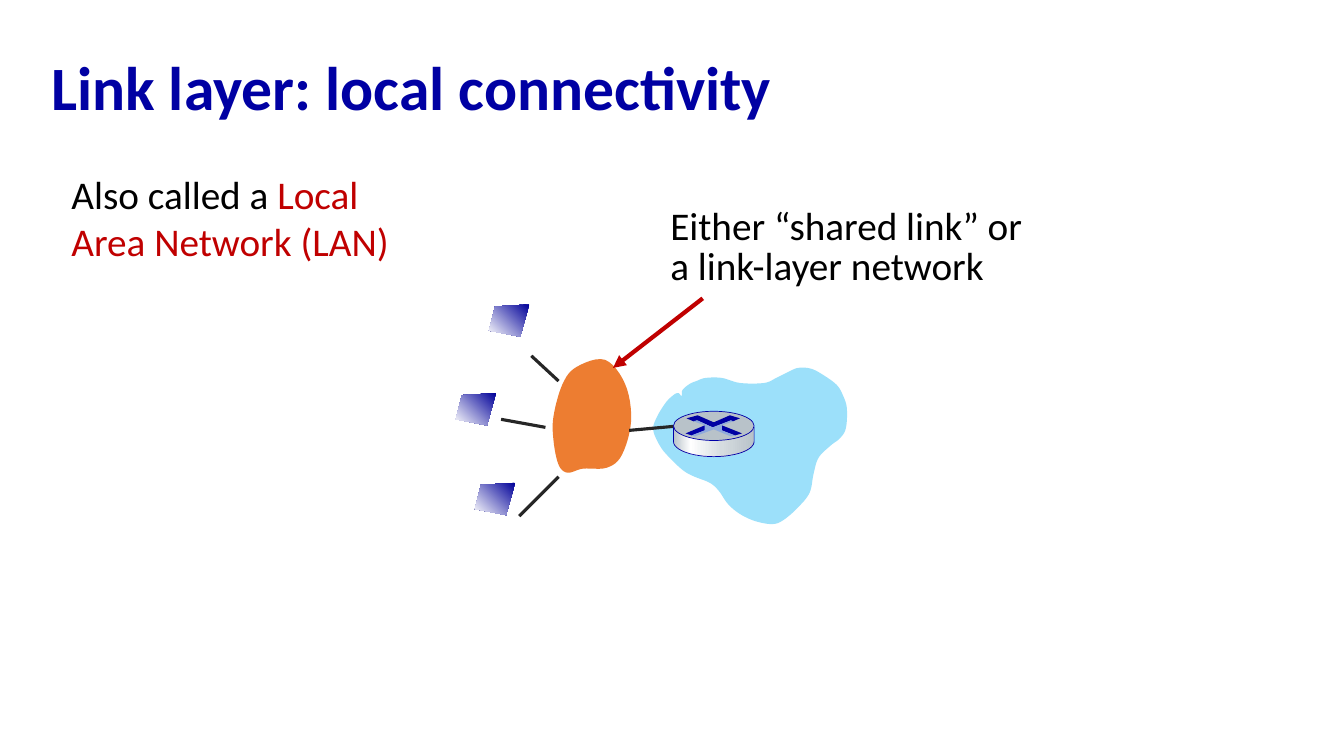
from math import cos, pi, sin

from lxml.etree import SubElement
from pptx import Presentation
from pptx.dml.color import RGBColor
from pptx.enum.shapes import MSO_CONNECTOR, MSO_SHAPE
from pptx.enum.text import MSO_ANCHOR, PP_ALIGN
from pptx.oxml.ns import qn
from pptx.util import Inches, Pt

COLORS = {
    "title": "0000A3", "text": "000000", "accent": "C00000", "link": "262626",
    "cloud": "9CE0FA", "lan": "ED7D31", "screen": "000099", "white": "FFFFFF",
    "edge": "0000A8", "steel": "B8C2C9", "silver": "D6DCE0", "cross": "8FAADC",
}

CLOUD = [
    (6.76, 3.93), (6.77, 3.87), (6.84, 3.81), (6.91, 3.78), (7, 3.75), (7.16, 3.75),
    (7.34, 3.8), (7.58, 3.8), (7.7, 3.75), (7.82, 3.69), (7.92, 3.65), (8.05, 3.66),
    (8.18, 3.73), (8.3, 3.82), (8.36, 3.92), (8.4, 4.05), (8.39, 4.25), (8.33, 4.35),
    (8.24, 4.42), (8.12, 4.54), (8.07, 4.7), (8.03, 4.89), (7.91, 5.04), (7.77, 5.16),
    (7.66, 5.2), (7.49, 5.17), (7.34, 5.1), (7.22, 5), (7.13, 4.87), (7.04, 4.79),
    (6.89, 4.73), (6.78, 4.67), (6.65, 4.55), (6.55, 4.43), (6.48, 4.27), (6.51, 4.15),
    (6.6, 4), (6.68, 3.92), (6.73, 3.9),
]
LAN = [
    (5.72, 3.64), (5.58, 3.81), (5.49, 4.13), (5.49, 4.37), (5.54, 4.61), (5.63, 4.69),
    (5.78, 4.65), (6.02, 4.64), (6.17, 4.51), (6.26, 4.17), (6.2, 3.81), (6, 3.57),
]
SCREEN = [(0.4, 0), (0.06, 0.02), (0, 0.26), (0.31, 0.32)]
SCREEN_CORNERS = [(4.85, 3.02), (4.52, 3.9), (4.71, 4.79)]
LINKS = [
    ((5.27, 3.53), (5.54, 3.78)), ((4.97, 4.16), (5.41, 4.24)),
    ((5.15, 5.12), (5.54, 4.73)), ((6.24, 4.27), (6.68, 4.23)),
]
ROUTER_MARKS = [
    ("title", [(7.24, 4.12), (7.34, 4.15), (7.27, 4.18), (7.25, 4.17), (7.07, 4.24),
               (6.92, 4.17), (6.88, 4.18), (6.81, 4.15), (6.92, 4.12), (7.08, 4.19)]),
    ("title", [(7.16, 4.22), (7.36, 4.3), (7.29, 4.32), (7.16, 4.27)]),
    ("edge", [(6.99, 4.22), (6.99, 4.27), (6.86, 4.32), (6.8, 4.3)]),
    ("cross", [(6.88, 4.18), (6.91, 4.17), (7.07, 4.24), (7.25, 4.17), (7.27, 4.18),
               (7.16, 4.22), (7.16, 4.27), (7.29, 4.32), (7.25, 4.33), (7.08, 4.26),
               (6.89, 4.33), (6.86, 4.32), (6.99, 4.27), (6.99, 4.22)]),
]


def rgb(name):
    """Return the named colour."""
    return RGBColor.from_string(COLORS[name])


def smooth(points, steps=6):
    """Return a closed Catmull-Rom curve through the points."""
    curve = []
    for i in range(len(points)):
        a, b, c, d = (points[(i + k) % len(points)] for k in (-1, 0, 1, 2))
        for t in (n / steps for n in range(steps)):
            curve.append(tuple(
                0.5 * (2 * q + (r - p) * t + (2 * p - 5 * q + 4 * r - s) * t ** 2
                       + (3 * q - p - 3 * r + s) * t ** 3)
                for p, q, r, s in zip(a, b, c, d)))
    return curve


def paint(s, fill=None, edge=None):
    """Give a shape a solid fill and an optional thin outline."""
    s.shadow.inherit = False
    if fill:
        s.fill.solid()
        s.fill.fore_color.rgb = rgb(fill)
    if edge:
        s.line.color.rgb = rgb(edge)
        s.line.width = Pt(0.5)
    else:
        s.line.fill.background()


def paint_gradient(s, stops, angle):
    """Fill a shape with a linear gradient of (percent, colour) stops."""
    s.fill.gradient()
    s.fill.gradient_angle = angle
    stop_list = s._element.spPr.find(qn("a:gradFill")).find(qn("a:gsLst"))
    for stop in list(stop_list):
        stop_list.remove(stop)
    for percent, name in stops:
        stop = SubElement(stop_list, qn("a:gs"), pos=str(percent * 1000))
        SubElement(stop, qn("a:srgbClr"), val=COLORS[name])


def add_outline(slide, points, fill=None, edge=None):
    """Draw a closed polygon through points in inches."""
    places = [(Inches(x), Inches(y)) for x, y in points]
    builder = slide.shapes.build_freeform(*places[0])
    builder.add_line_segments(places[1:], close=True)
    s = builder.convert_to_shape()
    paint(s, fill, edge)
    return s


def add_line(slide, start, end, color, width, arrow=False):
    """Draw a straight line, with an arrowhead at its end if asked."""
    s = slide.shapes.add_connector(
        MSO_CONNECTOR.STRAIGHT, *(Inches(v) for v in start + end))
    s.line.color.rgb = rgb(color)
    s.line.width = Pt(width)
    if arrow:
        SubElement(s.line._get_or_add_ln(), qn("a:tailEnd"), type="triangle")
    SubElement(s._element.spPr, qn("a:effectLst"))


def format_run(r, color, size, bold=False):
    """Set the font of a run."""
    r.font.name = "Calibri"
    r.font.size = Pt(size)
    r.font.bold = bold
    r.font.color.rgb = rgb(color)


def add_text(slide, box, parts, spacing=1.0, indent=0):
    """Add a wrapped paragraph made of (text, colour) parts."""
    tf = slide.shapes.add_textbox(*(Inches(v) for v in box)).text_frame
    tf.word_wrap = True
    p = tf.paragraphs[0]
    p.line_spacing = spacing
    p._p.get_or_add_pPr().set("marL", str(Inches(indent)))
    for text, color in parts:
        r = p.add_run()
        r.text = text
        format_run(r, color, 28)


def add_title(slide, text):
    """Place and format the slide title."""
    s = slide.shapes.title
    s.left, s.top, s.width, s.height = (Inches(v) for v in (0.41, 0.41, 11.5, 0.98))
    tf = s.text_frame
    tf.text = text
    tf.vertical_anchor = MSO_ANCHOR.MIDDLE
    p = tf.paragraphs[0]
    p.alignment = PP_ALIGN.LEFT
    p.line_spacing = 0.9
    format_run(p.runs[0], "title", 44, True)


def add_router(slide):
    """Draw the router as a short cylinder with a crossed top."""
    rim = [(7.08 + 0.4 * cos(n * pi / 24), 4.38 + 0.15 * sin(n * pi / 24))
           for n in range(25)]
    side = add_outline(slide, [(6.68, 4.24), (7.48, 4.24)] + rim, edge="edge")
    paint_gradient(
        side, [(0, "steel"), (21, "white"), (60, "silver"), (100, "steel")], 0)
    top = slide.shapes.add_shape(
        MSO_SHAPE.OVAL, Inches(6.68), Inches(4.08), Inches(0.8), Inches(0.29))
    paint(top, "steel", "edge")
    for color, points in ROUTER_MARKS:
        add_outline(slide, points, color)


def main():
    """Build and save the slide."""
    prs = Presentation()
    prs.slide_width, prs.slide_height = Inches(13.33), Inches(7.5)
    slide = prs.slides.add_slide(prs.slide_layouts[5])
    add_title(slide, "Link layer: local connectivity")
    add_outline(slide, smooth(CLOUD), "cloud")
    for left, top in SCREEN_CORNERS:
        s = add_outline(slide, [(left + x, top + y) for x, y in SCREEN])
        paint_gradient(s, [(0, "screen"), (100, "white")], 225)
    add_outline(slide, smooth(LAN), "lan")
    for start, end in LINKS:
        add_line(slide, start, end, "link", 2.25)
    add_router(slide)
    add_text(slide, (6.4, 2.02, 4, 1.4),
             [("Either “shared link” or a link-layer network", "text")], 0.85, 0.15)
    add_line(slide, (6.97, 2.96), (6.08, 3.65), "accent", 3, arrow=True)
    add_text(slide, (0.61, 1.64, 3.55, 1.04),
             [("Also called a ", "text"), ("Local Area Network (LAN)", "accent")])
    prs.save("out.pptx")


if __name__ == "__main__":
    main()
